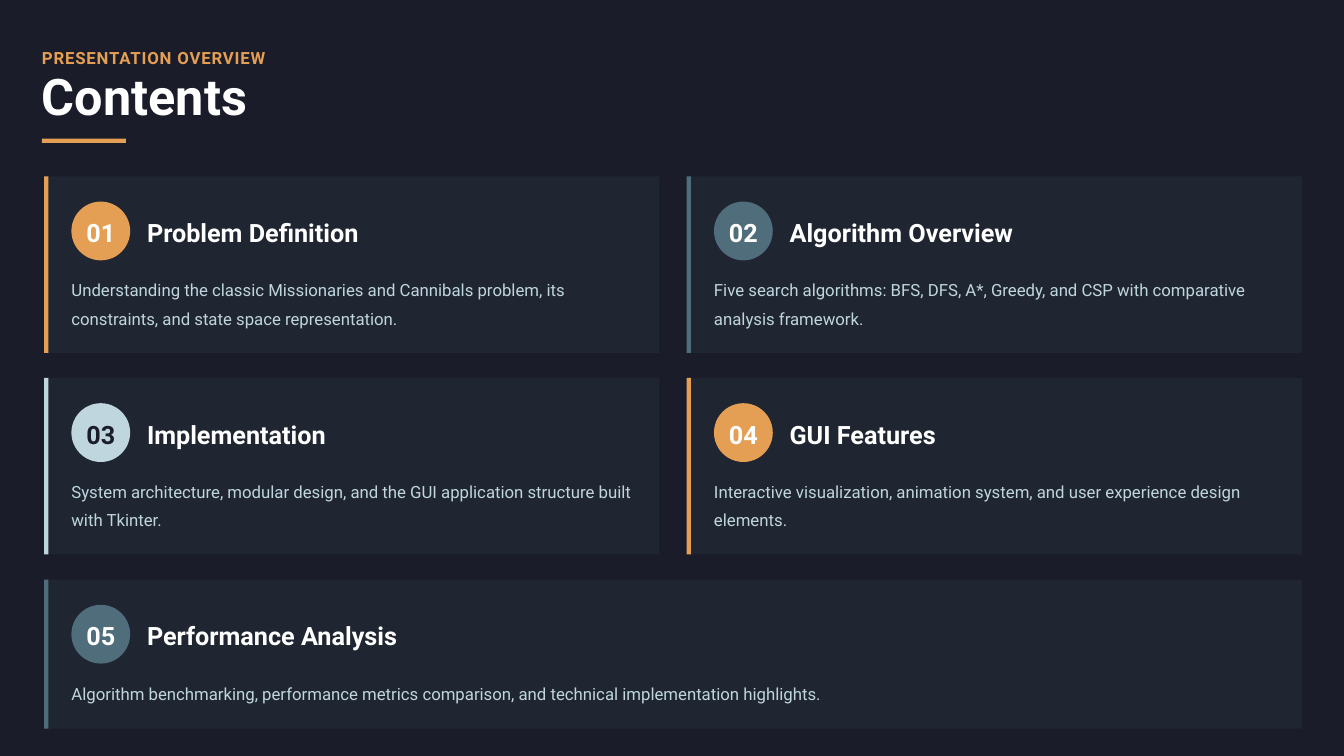
import dataclasses

import pptx
import pptx.dml.color
import pptx.enum.shapes
import pptx.enum.text
import pptx.oxml.ns
import pptx.slide
import pptx.util
from lxml import etree

Pt = pptx.util.Pt
SHAPES = pptx.enum.shapes.MSO_SHAPE
ALIGN = pptx.enum.text.PP_ALIGN

NAVY, WHITE = "1A1D29", "FFFFFF"
ORANGE, TEAL, PALE = "E59F54", "4F6D7A", "C0D6DF"

LEFT, TOP = 42, 168
CARD_WIDTH, CARD_HEIGHT = 586, 168
COLUMN_GAP, ROW_GAP = 26, 24
FULL_WIDTH = 2 * CARD_WIDTH + COLUMN_GAP
LAST_HEIGHT = 142

# Heading, width of its box, description, accent colour, number colour
TOPICS = [
    ("Problem Definition", 209,
     "Understanding the classic Missionaries and Cannibals problem, its "
     "constraints, and state space representation.", ORANGE, WHITE),
    ("Algorithm Overview", 221,
     "Five search algorithms: BFS, DFS, A*, Greedy, and CSP with comparative "
     "analysis framework.", TEAL, WHITE),
    ("Implementation", 178,
     "System architecture, modular design, and the GUI application structure "
     "built with Tkinter.", PALE, NAVY),
    ("GUI Features", 150,
     "Interactive visualization, animation system, and user experience design "
     "elements.", ORANGE, WHITE),
    ("Performance Analysis", 243,
     "Algorithm benchmarking, performance metrics comparison, and technical "
     "implementation highlights.", TEAL, WHITE),
]


def color(value):
    return pptx.dml.color.RGBColor.from_string(value)


def set_attributes(target, values):
    for name, value in values.items():
        setattr(target, name, value)


@dataclasses.dataclass
class Deck:
    """Holds the style and the slide being drawn."""
    slide: pptx.slide.Slide
    font: str = "Roboto"

    def background(self, fill):
        self.slide.background.fill.solid()
        self.slide.background.fill.fore_color.rgb = color(fill)

    def block(self, left, top, width, height, fill, kind=SHAPES.RECTANGLE, opacity=100):
        """Add a filled shape without outline; opacity is a percentage."""
        shape = self.slide.shapes.add_shape(kind, Pt(left), Pt(top), Pt(width), Pt(height))
        shape.shadow.inherit = False
        shape.line.fill.background()
        shape.fill.solid()
        shape.fill.fore_color.rgb = color(fill)
        if opacity < 100:
            tint = shape.fill._xPr.find(".//" + pptx.oxml.ns.qn("a:srgbClr"))
            alpha = etree.SubElement(tint, pptx.oxml.ns.qn("a:alpha"))
            alpha.set("val", str(opacity * 1000))

    def text(self, left, top, width, height, content, size, fill,
             bold=False, line_spacing=1.1, alignment=None, tracking=0):
        """Add a one-paragraph text box; tracking is in points."""
        box = self.slide.shapes.add_textbox(Pt(left), Pt(top), Pt(width), Pt(height))
        set_attributes(box.text_frame, {
            "margin_left": 0, "margin_top": 0, "margin_right": 0, "margin_bottom": 0,
            "word_wrap": True,
            "vertical_anchor": pptx.enum.text.MSO_ANCHOR.MIDDLE,
        })
        paragraph = box.text_frame.paragraphs[0]
        set_attributes(paragraph, {"alignment": alignment, "line_spacing": line_spacing})
        run = paragraph.add_run()
        run.text = content
        set_attributes(run.font, {"name": self.font, "size": Pt(size), "bold": bold})
        run.font.color.rgb = color(fill)
        if tracking:
            run._r.get_or_add_rPr().set("spc", str(round(tracking * 100)))

    def card(self, left, top, width, height, number, topic):
        heading, heading_width, description, accent, number_fill = topic
        self.block(left, top, width, height, TEAL, opacity=10)
        self.block(left, top, 4, height, accent)
        self.block(left + 26, top + 24, 56, 56, accent, SHAPES.OVAL)
        self.text(left + 20, top + 24, 68, 56, f"{number:02}", 24, number_fill,
                  bold=True, alignment=ALIGN.CENTER)
        self.text(left + 98, top + 36, heading_width, 32, heading, 24, WHITE, bold=True)
        self.text(left + 26, top + 92, width - 42, height - 116, description, 16, PALE,
                  line_spacing=1.4)


def main():
    presentation = pptx.Presentation()
    presentation.slide_width, presentation.slide_height = Pt(1280), Pt(720)
    deck = Deck(presentation.slides.add_slide(presentation.slide_layouts[6]))
    deck.background(NAVY)

    deck.text(40, 40, 1208, 24, "PRESENTATION OVERVIEW", 16, ORANGE,
              bold=True, line_spacing=1.3, tracking=0.8)
    deck.text(40, 72, 1224, 48, "Contents", 48, WHITE, bold=True, line_spacing=0.8)
    deck.block(40, 132, 80, 4, ORANGE)

    for index, topic in enumerate(TOPICS):
        row, column = divmod(index, 2)
        is_last = index == len(TOPICS) - 1
        deck.card(LEFT + column * (CARD_WIDTH + COLUMN_GAP),
                  TOP + row * (CARD_HEIGHT + ROW_GAP),
                  FULL_WIDTH if is_last else CARD_WIDTH,
                  LAST_HEIGHT if is_last else CARD_HEIGHT,
                  index + 1, topic)

    presentation.save("out.pptx")


if __name__ == "__main__":
    main()
